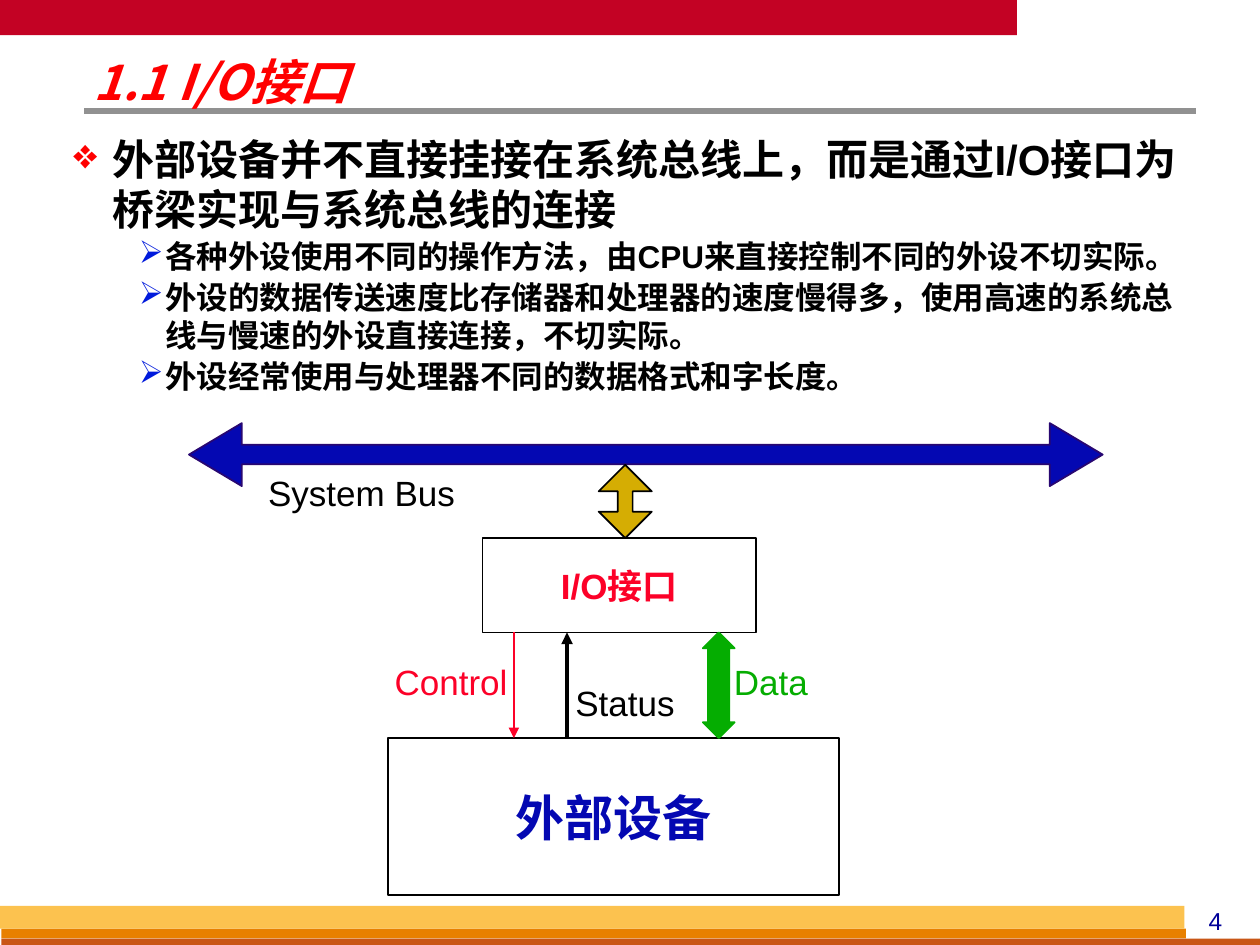
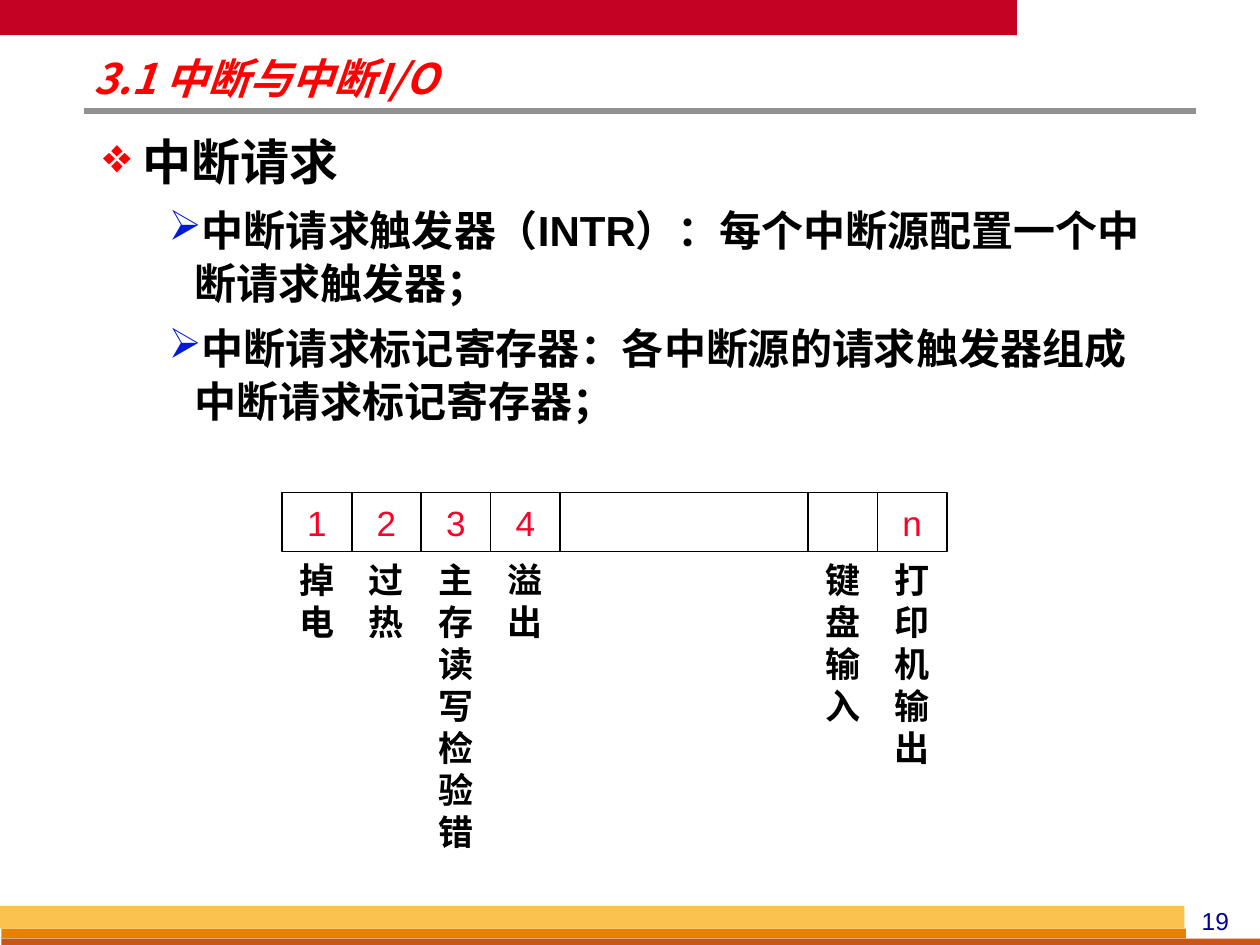
from lxml import etree
from pptx import Presentation
from pptx.dml.color import RGBColor
from pptx.enum.shapes import MSO_CONNECTOR, MSO_SHAPE
from pptx.enum.text import MSO_ANCHOR, PP_ALIGN
from pptx.oxml.ns import qn
from pptx.util import Cm, Pt

RECTANGLE = MSO_SHAPE.RECTANGLE
LEFT_RIGHT_ARROW = MSO_SHAPE.LEFT_RIGHT_ARROW
UP_DOWN_ARROW = MSO_SHAPE.UP_DOWN_ARROW
STRAIGHT = MSO_CONNECTOR.STRAIGHT
TOP, MIDDLE = MSO_ANCHOR.TOP, MSO_ANCHOR.MIDDLE
LEFT, CENTER = PP_ALIGN.LEFT, PP_ALIGN.CENTER

BLACK = RGBColor(0x00, 0x00, 0x00)
CRIMSON = RGBColor(0xC3, 0x02, 0x24)
GRAY = RGBColor(0x91, 0x91, 0x91)
ORANGE = RGBColor(0xE8, 0x80, 0x00)
RUST = RGBColor(0xC9, 0x56, 0x16)
AMBER = RGBColor(0xFC, 0xC2, 0x4F)
NAVY = RGBColor(0x00, 0x00, 0x99)
TITLE_RED = RGBColor(0xFF, 0x00, 0x00)
BULLET_BLUE = RGBColor(0x00, 0x1A, 0xDC)
BUS_BLUE = RGBColor(0x04, 0x08, 0xB2)
BUS_OUTLINE = RGBColor(0x28, 0x07, 0x71)
SIGNAL_RED = RGBColor(0xFC, 0x01, 0x28)
GOLD = RGBColor(0xD5, 0xAD, 0x03)
GREEN = RGBColor(0x05, 0xAD, 0x01)

BODY_FONT = "Arial"
TITLE_FONT = "Noto Sans CJK SC"
BULLETS = [("❖", TITLE_RED, 0.79, -0.79), ("➢", BULLET_BLUE, 1.85, -0.53)]
BANDS = [
    ((0.03, 18.72, 23.88, 0.2), ORANGE),
    ((0.03, 18.92, 25.37, 0.13), RUST),
    ((0, 18.26, 23.88, 0.46), AMBER),
]


def apply_format(target, values):
    for name, value in values.items():
        setattr(target, name, value)


class Deck:
    def __init__(self):
        self.presentation = Presentation()
        self.presentation.slide_width = Cm(25.4)
        self.presentation.slide_height = Cm(19.05)
        self.slide = None

    def new_slide(self, title, title_size, number):
        layout = self.presentation.slide_layouts[6]
        self.slide = self.presentation.slides.add_slide(layout)
        self.shape(RECTANGLE, (0, 0, 20.5, 0.71), fill=CRIMSON)
        self.line((1.7, 2.24), (24.1, 2.24), GRAY, 3)
        for box, color in BANDS:
            self.shape(RECTANGLE, box, fill=color)
        self.text((23.7, 18.14, 1.6, 0.84), str(number), 14, NAVY)
        self.text((1.7, 1.12, 14.6, 1.17), title, title_size, TITLE_RED,
                  insets=(0.18, 0.08), font=TITLE_FONT, bold=True, italic=True,
                  paragraph_format={"alignment": LEFT, "line_spacing": 0.87})

    def run(self, paragraph, text, size, color, font=BODY_FONT, bold=False, italic=False):
        run = paragraph.add_run()
        run.text = text
        apply_format(run.font, {"name": font, "size": Pt(size), "bold": bold, "italic": italic})
        run.font.color.rgb = color
        etree.SubElement(run._r.get_or_add_rPr(), qn("a:ea"), typeface=font)

    def frame(self, box, insets=(0.25, 0.13)):
        frame = self.slide.shapes.add_textbox(*map(Cm, box)).text_frame
        horizontal, vertical = map(Cm, insets)
        apply_format(frame, {
            "word_wrap": True, "vertical_anchor": TOP,
            "margin_left": horizontal, "margin_right": horizontal,
            "margin_top": vertical, "margin_bottom": vertical,
        })
        return frame

    def text(self, box, text, size, color, insets=(0.25, 0.13), paragraph_format=None, **style):
        paragraph = self.frame(box, insets).paragraphs[0]
        apply_format(paragraph, paragraph_format or {"alignment": CENTER})
        self.run(paragraph, text, size, color, **style)

    def bullets(self, box, items, sizes, insets, spacing):
        frame = self.frame(box, insets)
        for index, (level, text) in enumerate(items):
            paragraph = frame.add_paragraph() if index else frame.paragraphs[0]
            apply_format(paragraph, {"level": level, **spacing})
            if index == 0:
                paragraph.space_before = Pt(0)
            character, color, margin, indent = BULLETS[level]
            properties = paragraph._p.get_or_add_pPr()
            properties.set("marL", str(Cm(margin)))
            properties.set("indent", str(Cm(indent)))
            bullet_color = etree.SubElement(properties, qn("a:buClr"))
            etree.SubElement(bullet_color, qn("a:srgbClr"), val=str(color))
            etree.SubElement(properties, qn("a:buChar"), char=character)
            self.run(paragraph, text, sizes[level], BLACK, bold=True)

    def shape(self, kind, box, fill=None, outline=None, adjustments=()):
        shape = self.slide.shapes.add_shape(kind, *map(Cm, box))
        shape.shadow.inherit = False
        for index, value in enumerate(adjustments):
            shape.adjustments[index] = value
        if fill is None:
            shape.fill.background()
        else:
            shape.fill.solid()
            shape.fill.fore_color.rgb = fill
        if outline is None:
            shape.line.fill.background()
        else:
            shape.line.color.rgb = outline
            shape.line.width = Pt(1)
        return shape

    def box(self, box, text, size, color, bold=True):
        shape = self.shape(RECTANGLE, box, outline=BLACK)
        if text:
            apply_format(shape.text_frame, {"word_wrap": False, "vertical_anchor": MIDDLE})
            paragraph = shape.text_frame.paragraphs[0]
            paragraph.alignment = CENTER
            self.run(paragraph, text, size, color, bold=bold)

    def line(self, start, end, color, width, arrow=False):
        connector = self.slide.shapes.add_connector(STRAIGHT, *map(Cm, start + end))
        connector.line.color.rgb = color
        connector.line.width = Pt(width)
        properties = connector._element.spPr
        if arrow:
            etree.SubElement(properties.find(qn("a:ln")), qn("a:tailEnd"), type="triangle")
        etree.SubElement(properties, qn("a:effectLst"))


def build_interface_slide(deck):
    deck.new_slide("1.1 I/O接口", 28, 4)
    deck.bullets((1.3, 2.51, 23.06, 5.66), [
        (0, "外部设备并不直接挂接在系统总线上，而是通过I/O接口为桥梁实现与系统总线的连接"),
        (1, "各种外设使用不同的操作方法，由CPU来直接控制不同的外设不切实际。"),
        (1, "外设的数据传送速度比存储器和处理器的速度慢得多，使用高速的系统总线与慢速的外设直接连接，不切实际。"),
        (1, "外设经常使用与处理器不同的数据格式和字长度。"),
    ], (24, 18), (0.18, 0.18), {"space_before": Pt(0.9), "space_after": Pt(0.9)})

    interface_bottom, device_top = 12.75, 14.88
    gap = device_top - interface_bottom
    deck.shape(LEFT_RIGHT_ARROW, (3.81, 8.53, 18.42, 1.27), BUS_BLUE, BUS_OUTLINE, (0.31, 0.84))
    deck.box((9.73, 10.85, 5.51, 1.9), "I/O接口", 20, SIGNAL_RED)
    deck.shape(UP_DOWN_ARROW, (12.07, 9.37, 1.07, 1.48), GOLD, BLACK, (0.5, 0.28))
    deck.box((7.82, device_top, 9.09, 3.17), "外部设备", 28, BUS_BLUE)
    deck.line((10.36, interface_bottom), (10.36, device_top), SIGNAL_RED, 1.5, arrow=True)
    deck.line((11.43, device_top), (11.43, interface_bottom), BLACK, 2.25, arrow=True)
    deck.shape(UP_DOWN_ARROW, (14.17, interface_bottom, 0.64, gap), GREEN, GREEN, (0.5, 0.67))
    for label, left, top, width, color in [
        ("System Bus", 4.65, 9.37, 5.28, BLACK),
        ("Data", 14.17, 13.18, 2.74, GREEN),
        ("Control", 7.19, 13.18, 3.81, SIGNAL_RED),
        ("Status", 11.23, 13.61, 2.74, BLACK),
    ]:
        deck.text((left, top, width, 1.09), label, 20, color)


def build_interrupt_slide(deck):
    deck.new_slide("3.1 中断与中断I/O", 24, 19)
    deck.bullets((1.9, 2.51, 21.8, 6.32), [
        (0, "中断请求"),
        (1, "中断请求触发器（INTR）：每个中断源配置一个中断请求触发器；"),
        (1, "中断请求标记寄存器：各中断源的请求触发器组成中断请求标记寄存器；"),
    ], (28, 24), (0.18, 0.08), {"space_before": Pt(7), "line_spacing": 1.05})

    left, top, height = 5.69, 9.93, 1.19
    bit_width, middle_width = 1.4, 5
    for bit, source, width in [
        ("1", "掉电", bit_width),
        ("2", "过热", bit_width),
        ("3", "主存读写检验错", bit_width),
        ("4", "溢出", bit_width),
        ("", "", middle_width),
        ("", "键盘输入", bit_width),
        ("n", "打印机输出", bit_width),
    ]:
        deck.box((left, top, width, height), bit, 20, SIGNAL_RED, bold=False)
        if source:
            label_height = 0.25 + 0.85 * len(source)
            deck.text((left, top + height, width, label_height), source, 20, BLACK, bold=True)
        left += width


def main():
    deck = Deck()
    build_interface_slide(deck)
    build_interrupt_slide(deck)
    deck.presentation.save("out.pptx")


if __name__ == "__main__":
    main()
